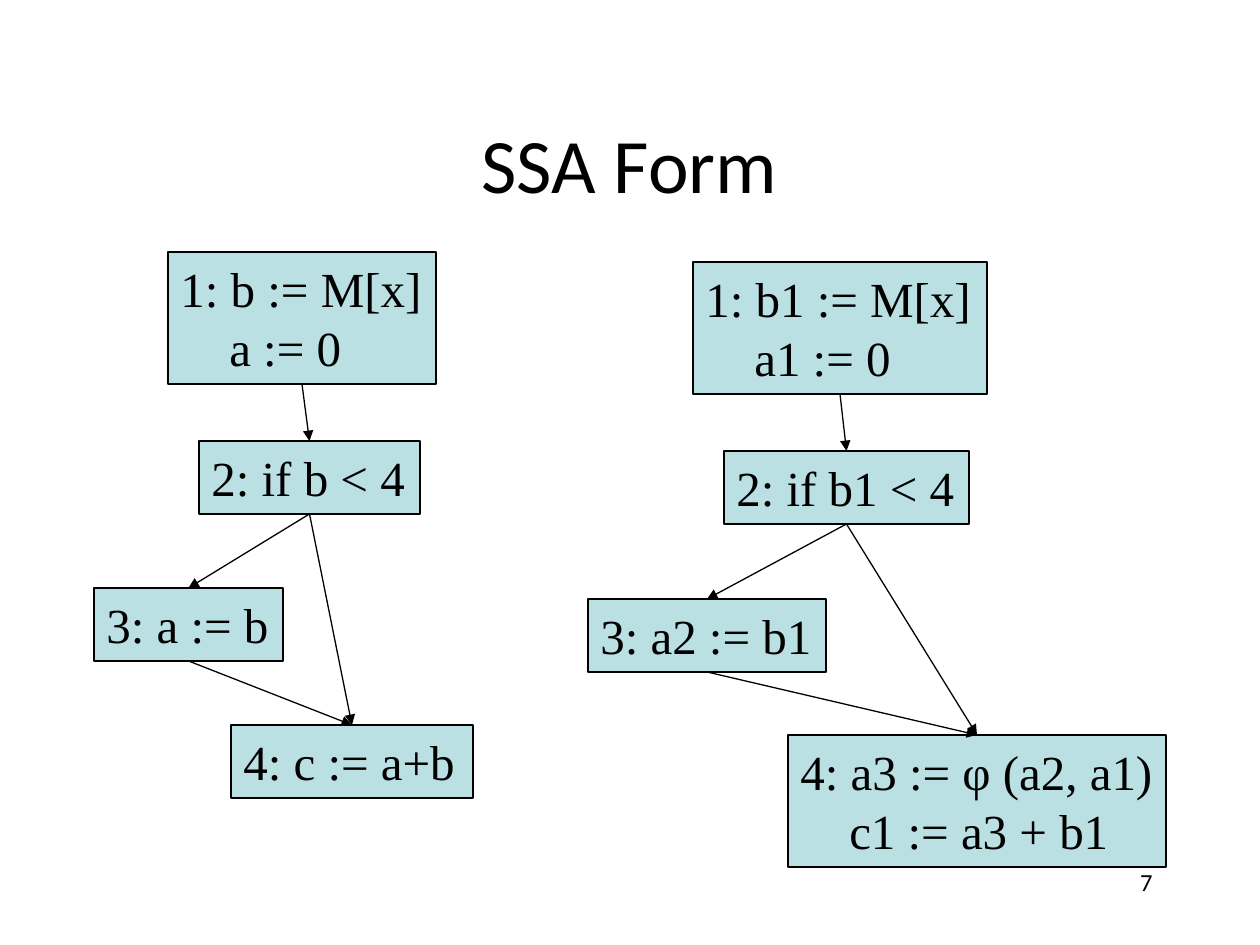
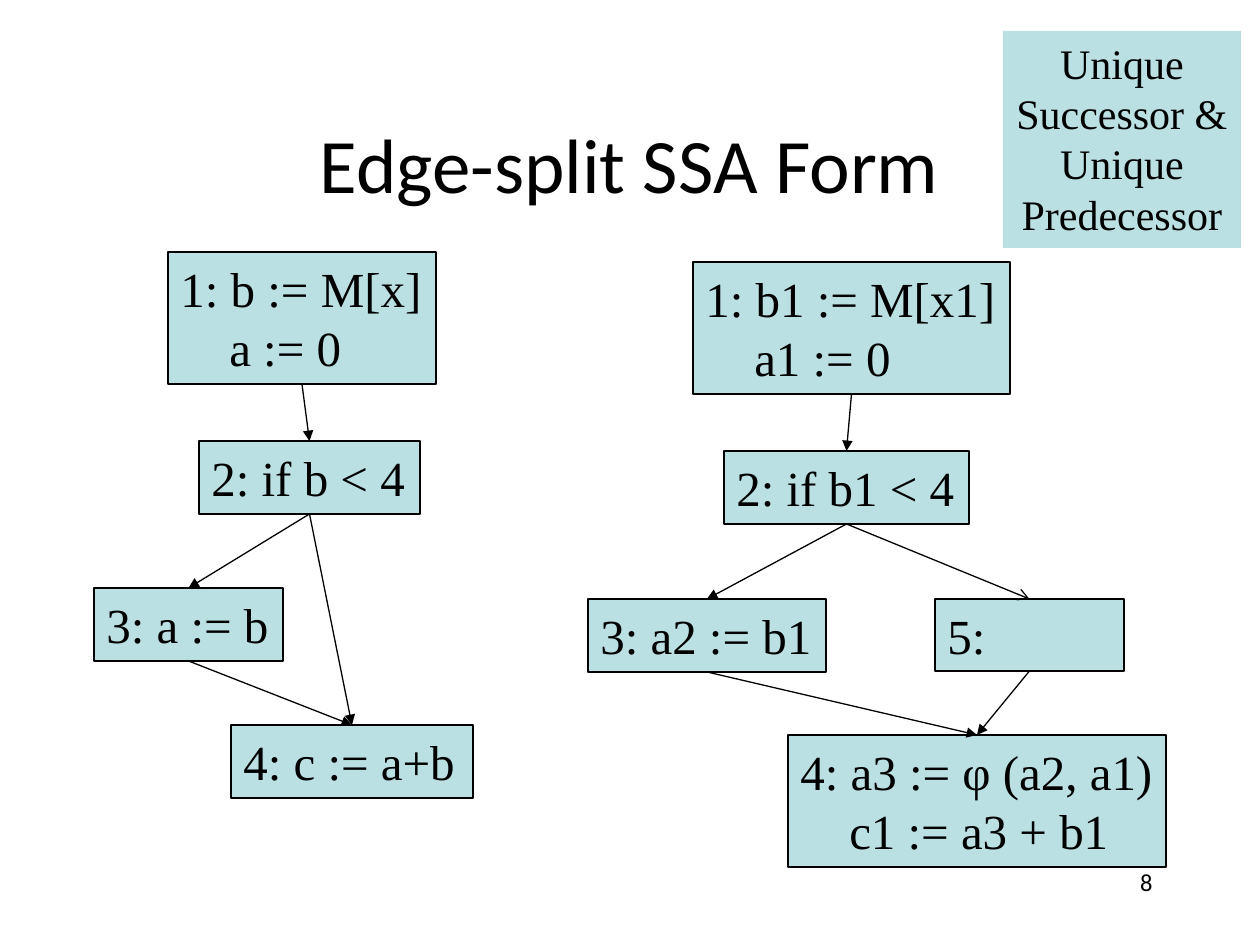
import pptx
import pptx.util
import pptx.dml.color
import pptx.enum.shapes
import pptx.enum.text
import pptx.oxml.ns
import lxml.etree

# Shared style
HUES = {"ink": "000000", "box": "BBE0E3", "page": "FFFFFF"}
HEAD, BODY = "Calibri", "Times New Roman"
ALIGN = pptx.enum.text.PP_ALIGN
TITLE = (94, 84, 1071, 158)
NUMBER = (903, 861, 262, 63)
TOP, BOTTOM = 0, 2
WIDE = {4, 5}  # blocks whose text wraps

# Graphs: blocks as number: (place, lines), edges as (from, to, arrowhead)
PLAIN = {
    "blocks": {
        1: ((168, 252, 268, 132), ["1: b := M[x]", "    a := 0"]),
        2: ((199, 441, 221, 73), ["2: if b < 4"]),
        3: ((94, 588, 189, 73), ["3: a := b"]),
        4: ((231, 725, 242, 73), ["4: c := a+b"]),
    },
    "edges": [(1, 2, "triangle"), (2, 3, "triangle"),
              (3, 4, "triangle"), (2, 4, "triangle")],
}
SSA = {
    "blocks": {
        1: ((693, 262, 294, 132), ["1: b1 := M[x]", "    a1 := 0"]),
        2: ((724, 451, 245, 73), ["2: if b1 < 4"]),
        3: ((588, 599, 238, 73), ["3: a2 := b1"]),
        4: ((788, 735, 378, 132), ["4: a3 := φ (a2, a1)", "    c1 := a3 + b1"]),
    },
    "edges": PLAIN["edges"],
}
SPLIT = {
    "blocks": {
        **SSA["blocks"],
        1: ((693, 262, 317, 132), ["1: b1 := M[x1]", "    a1 := 0"]),
        5: ((935, 599, 189, 72), ["5:"]),
    },
    "edges": PLAIN["edges"][:3] + [(5, 4, "triangle"), (2, 5, "arrow")],
}
RULE = ((1003, 31, 238, 217), ["Unique", "Successor &", "Unique", "Predecessor"])

SLIDES = [
    {"title": "SSA Form", "number": "7", "graphs": [PLAIN, SSA]},
    {"title": "Edge-split SSA Form", "number": "8", "graphs": [PLAIN, SPLIT],
     "rule": RULE},
]


def px(n):
    return pptx.util.Emu(round(n * 914400 / 126))


def hue(name):
    return pptx.dml.color.RGBColor.from_string(HUES[name])


def write(frame, lines, font, size, align):
    for i, line in enumerate(lines):
        para = frame.paragraphs[0] if i == 0 else frame.add_paragraph()
        para.alignment = align
        run = para.add_run()
        run.text = line
        run.font.name = font
        run.font.size = pptx.util.Pt(size)
        run.font.color.rgb = hue("ink")


def add_box(slide, place, lines, size=28, align=ALIGN.LEFT, wrap=False, edge=True):
    kind = pptx.enum.shapes.MSO_SHAPE.RECTANGLE
    box = slide.shapes.add_shape(kind, *map(px, place))
    box.shadow.inherit = False
    box.fill.solid()
    box.fill.fore_color.rgb = hue("box")
    if edge:
        box.line.color.rgb = hue("ink")
        box.line.width = pptx.util.Pt(0.75)
    else:
        box.line.fill.background()
    frame = box.text_frame
    frame.word_wrap = wrap
    frame.auto_size = pptx.enum.text.MSO_AUTO_SIZE.SHAPE_TO_FIT_TEXT
    frame.vertical_anchor = pptx.enum.text.MSO_ANCHOR.TOP
    write(frame, lines, BODY, size, align)
    return box


def add_edge(slide, start, end, tip):
    kind = pptx.enum.shapes.MSO_CONNECTOR.STRAIGHT
    link = slide.shapes.add_connector(kind, 0, 0, 0, 0)
    link.begin_connect(start, BOTTOM)
    link.end_connect(end, TOP)
    link.line.color.rgb = hue("ink")
    link.line.width = pptx.util.Pt(0.75)
    qn = pptx.oxml.ns.qn
    lxml.etree.SubElement(link.line._get_or_add_ln(), qn("a:tailEnd"), type=tip)
    lxml.etree.SubElement(link._element.spPr, qn("a:effectLst"))


def add_graph(slide, graph):
    boxes = {key: add_box(slide, place, lines, wrap=key in WIDE)
             for key, (place, lines) in graph["blocks"].items()}
    for start, end, tip in graph["edges"]:
        add_edge(slide, boxes[start], boxes[end], tip)


def add_slide(deck, data):
    slide = deck.slides.add_slide(deck.slide_layouts[5])
    slide.background.fill.solid()
    slide.background.fill.fore_color.rgb = hue("page")

    # Title and slide number
    title = slide.shapes.title
    title.left, title.top, title.width, title.height = map(px, TITLE)
    title.text_frame.vertical_anchor = pptx.enum.text.MSO_ANCHOR.MIDDLE
    write(title.text_frame, [data["title"]], HEAD, 44, ALIGN.CENTER)
    number = slide.shapes.add_textbox(*map(px, NUMBER))
    number.text_frame.word_wrap = True
    write(number.text_frame, [data["number"]], HEAD, 14, ALIGN.RIGHT)

    # Flow graphs and corner rule
    for graph in data["graphs"]:
        add_graph(slide, graph)
    if "rule" in data:
        add_box(slide, *data["rule"], size=24, align=ALIGN.CENTER, edge=False)


def main():
    deck = pptx.Presentation()
    deck.slide_width, deck.slide_height = px(1260), px(945)
    for data in SLIDES:
        add_slide(deck, data)
    deck.save("out.pptx")


if __name__ == "__main__":
    main()
